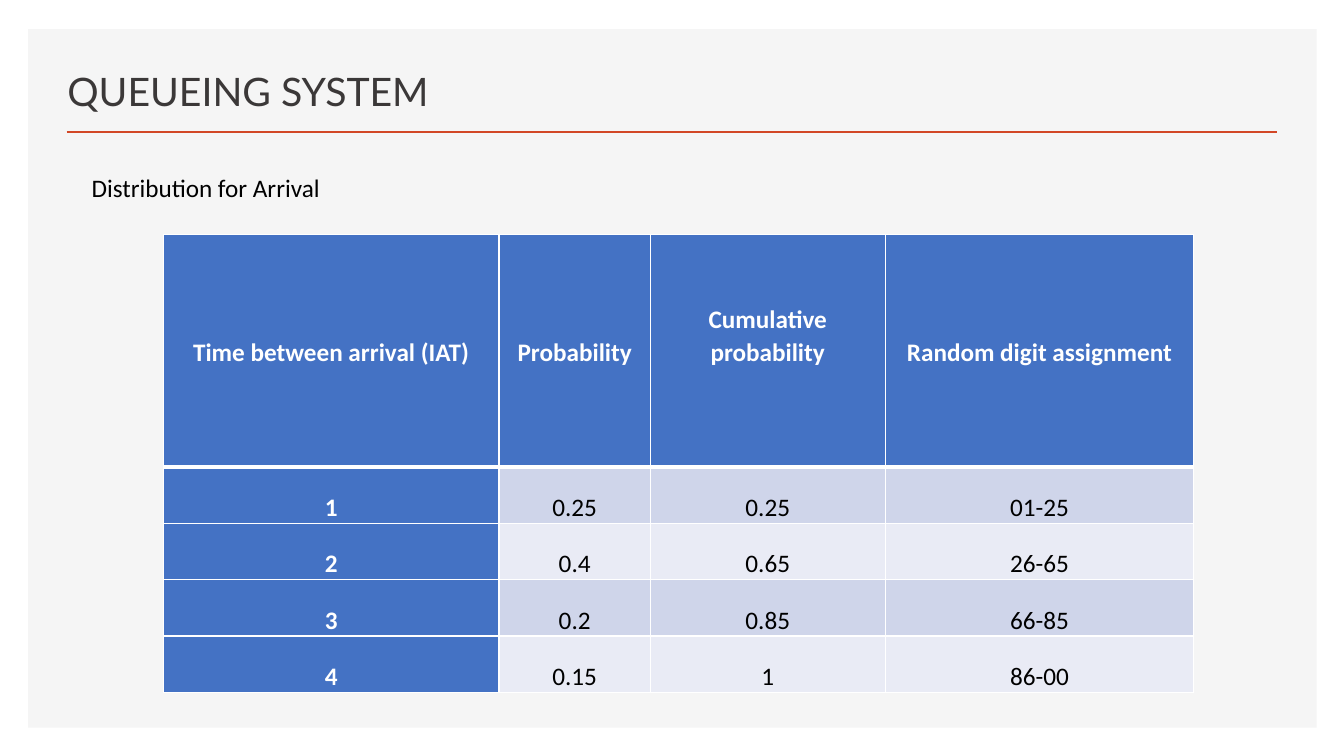
from lxml.etree import SubElement
from pptx import Presentation
from pptx.dml.color import RGBColor
from pptx.enum.shapes import MSO_CONNECTOR as Connector, MSO_SHAPE as Shape
from pptx.enum.text import MSO_ANCHOR as Anchor, PP_ALIGN as Align
from pptx.oxml.ns import qn
from pptx.util import Inches, Pt

COLORS = {
    "panel": "F5F5F5",
    "rule": "D24726",
    "title": "3B3838",
    "ink": "000000",
    "white": "FFFFFF",
    "header": "4472C4",
    "odd_row": "CFD5EA",
    "even_row": "E9EBF5",
}

ARRIVALS = [
    ("Time between arrival (IAT)", "Probability", "Cumulative probability", "Random digit assignment"),
    ("1", "0.25", "0.25", "01-25"),
    ("2", "0.4", "0.65", "26-65"),
    ("3", "0.2", "0.85", "66-85"),
    ("4", "0.15", "1", "86-00"),
]
COLUMN_WIDTHS = (3.33, 1.5, 2.33, 3.06)
ROW_HEIGHTS = (2.3, 0.56, 0.56, 0.56, 0.56)


def rgb(color):
    return RGBColor.from_string(COLORS[color])


def apply_format(target, values):
    for attribute, value in values.items():
        setattr(target, attribute, value)


def write_text(frame, text, color, font, paragraph_format):
    paragraph = frame.paragraphs[0]
    apply_format(paragraph, paragraph_format)
    run = paragraph.add_run()
    run.text = text
    apply_format(run.font, font)
    run.font.color.rgb = rgb(color)


def add_panel(slide):
    panel = slide.shapes.add_shape(
        Shape.RECTANGLE, Inches(0.28), Inches(0.29), Inches(12.78), Inches(6.93))
    panel.shadow.inherit = False
    panel.fill.solid()
    panel.fill.fore_color.rgb = rgb("panel")
    panel.line.fill.background()


def add_title_rule(slide):
    rule = slide.shapes.add_connector(
        Connector.STRAIGHT, Inches(0.66), Inches(1.31), Inches(12.67), Inches(1.31))
    rule.line.color.rgb = rgb("rule")
    rule.line.width = Pt(2)
    SubElement(rule._element.spPr, qn("a:effectLst"))


def add_label(slide, bounds, text, color, font, paragraph_format, anchor):
    label = slide.shapes.add_textbox(*map(Inches, bounds)).text_frame
    apply_format(label, {"word_wrap": True, "vertical_anchor": anchor})
    write_text(label, text, color, font, paragraph_format)


def add_border(cell, side, points):
    border = SubElement(cell._tc.get_or_add_tcPr(), qn(f"a:ln{side}"), w=str(Pt(points)))
    fill = SubElement(border, qn("a:solidFill"))
    SubElement(fill, qn("a:srgbClr"), val=COLORS["white"])


def format_cell(cell, text, row, column):
    emphasized = row == 0 or column == 0
    heavy_side = {0: "B", 1: "T"}.get(row)
    for side in "LRTB":
        add_border(cell, side, 3 if side == heavy_side else 1)
    cell.fill.solid()
    band = "odd_row" if row % 2 else "even_row"
    cell.fill.fore_color.rgb = rgb("header" if emphasized else band)
    apply_format(cell, {
        "vertical_anchor": Anchor.BOTTOM,
        "margin_left": Inches(0.07),
        "margin_right": Inches(0.07),
        "margin_top": 0,
        "margin_bottom": Inches(0 if row else 0.98),
    })
    write_text(
        cell.text_frame, text, "white" if emphasized else "ink",
        {"name": "Calibri", "size": Pt(18), "bold": emphasized},
        {"alignment": Align.CENTER, "line_spacing": 1.07})


def add_arrival_table(slide):
    table = slide.shapes.add_table(
        len(ROW_HEIGHTS), len(COLUMN_WIDTHS), Inches(1.62), Inches(2.33),
        Inches(sum(COLUMN_WIDTHS)), Inches(sum(ROW_HEIGHTS))).table
    table.first_col = True
    for column, width in zip(table.columns, COLUMN_WIDTHS):
        column.width = Inches(width)
    for row, height in zip(table.rows, ROW_HEIGHTS):
        row.height = Inches(height)
    for row, values in enumerate(ARRIVALS):
        for column, value in enumerate(values):
            format_cell(table.cell(row, column), value, row, column)


def main():
    deck = Presentation()
    apply_format(deck, {"slide_width": Inches(13.33), "slide_height": Inches(7.5)})
    slide = deck.slides.add_slide(deck.slide_layouts[6])
    add_panel(slide)
    add_title_rule(slide)
    add_label(
        slide, (0.57, 0.49, 7.52, 0.7), "QUEUEING SYSTEM", "title",
        {"name": "Lato", "size": Pt(28)}, {"line_spacing": 0.9}, Anchor.BOTTOM)
    add_label(
        slide, (0.81, 1.64, 11.23, 0.41), "Distribution for Arrival", "ink",
        {"name": "Calibri", "size": Pt(18)},
        {"line_spacing": 1.07, "space_after": Pt(8)}, Anchor.TOP)
    add_arrival_table(slide)
    deck.save("out.pptx")


if __name__ == "__main__":
    main()
